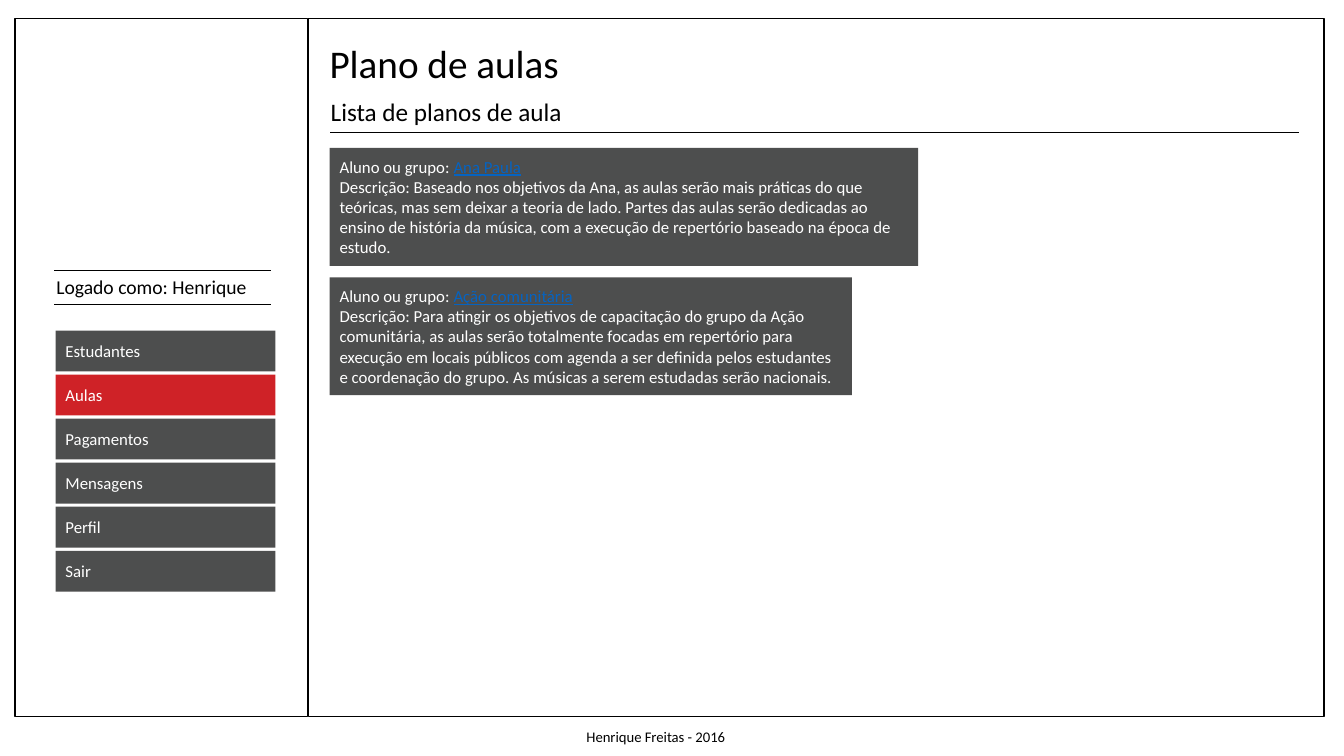
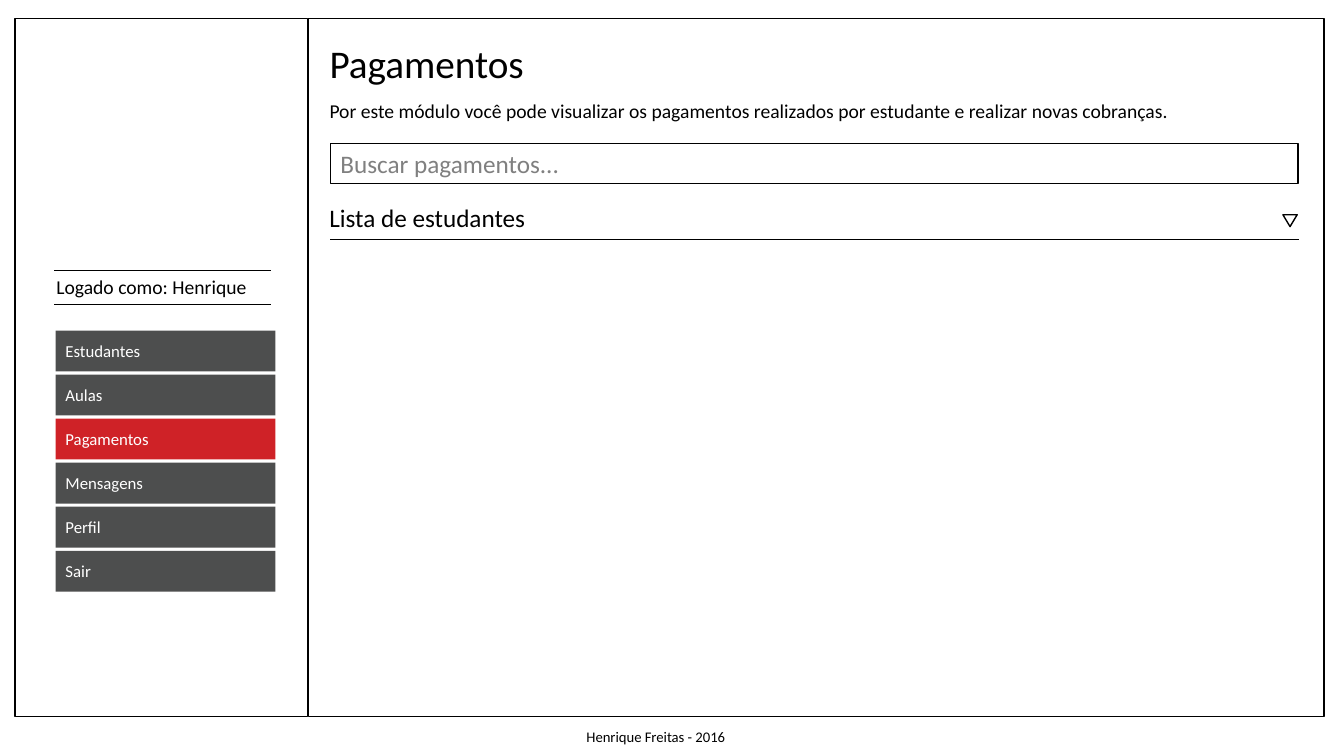
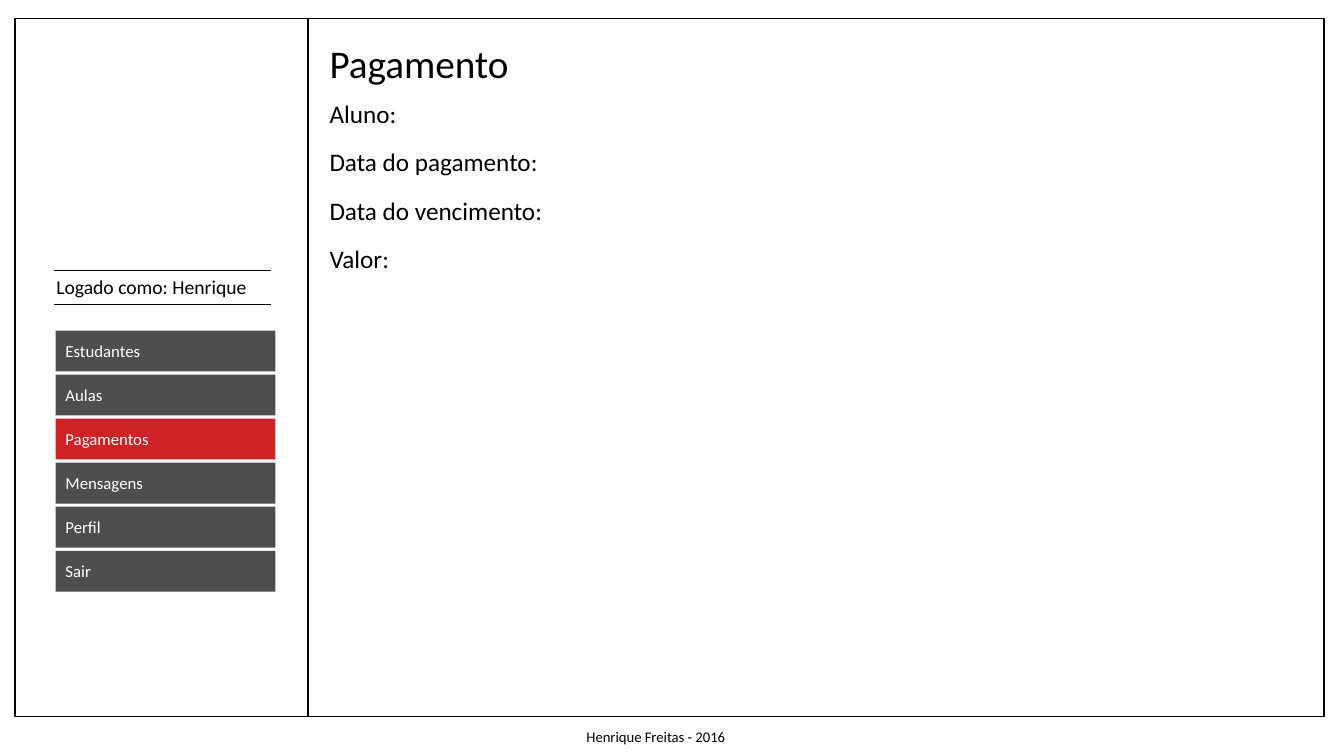
"""Builds three screens of a music lesson manager: lesson plans, payments and payment details."""

from dataclasses import dataclass

from lxml import etree
from pptx import Presentation
from pptx.dml.color import RGBColor
from pptx.enum.shapes import MSO_SHAPE
from pptx.enum.text import MSO_ANCHOR, MSO_AUTO_SIZE, PP_ALIGN
from pptx.oxml.ns import qn
from pptx.shapes.autoshape import Shape
from pptx.slide import Slide, SlideLayout
from pptx.util import Cm, Pt

RECTANGLE = MSO_SHAPE.RECTANGLE
TRIANGLE = MSO_SHAPE.ISOSCELES_TRIANGLE
TOP, MIDDLE = MSO_ANCHOR.TOP, MSO_ANCHOR.MIDDLE
GROW, FIXED = MSO_AUTO_SIZE.SHAPE_TO_FIT_TEXT, MSO_AUTO_SIZE.NONE
LEFT = PP_ALIGN.LEFT

FONT = "Calibri"
BLACK, WHITE, GREY = "000000", "FFFFFF", "808080"
DARK, RED, LINK_BLUE = "4D4E4E", "CF2227", "0563C1"

MENU = ("Estudantes", "Aulas", "Pagamentos", "Mensagens", "Perfil", "Sair")
MENU_LEFT, MENU_TOP, MENU_PITCH = 1.4, 8.33, 1.11
RULE_LEFT, RULE_RIGHT = 8.32, 32.73


@dataclass(frozen=True)
class Box:
    """A rectangle on the slide, in centimetres."""

    left: float
    top: float
    width: float
    height: float


@dataclass(frozen=True)
class Screen:
    """The title, body and active menu entry of a slide."""

    title: str
    title_width: float
    active: str
    body: str
    body_box: Box
    body_size: float


@dataclass(frozen=True)
class PlanCard:
    """A lesson plan of a student or group."""

    student: str
    description: str
    box: Box


SIDEBAR = Box(0.38, 0.46, 7.37, 17.6)
CONTENT = Box(7.77, 0.46, 25.6, 17.6)

PLANS = Screen("Plano de aulas", 6.35, "Aulas", "Lista de planos de aula",
               Box(8.08, 2.31, 6.4, 1.02), 18)
PAYMENTS = Screen(
    "Pagamentos", 5.46, "Pagamentos",
    "Por este módulo você pode visualizar os pagamentos realizados por estudante "
    "e realizar novas cobranças.",
    Box(8.05, 2.36, 21.84, 0.86), 14)
PAYMENT = Screen("Pagamento", 5.05, "Pagamentos",
                 "Aluno:\nData do pagamento:\nData do vencimento:\nValor:",
                 Box(8.05, 2.34, 5.94, 4.7), 18)

PLAN_CARDS = (
    PlanCard(
        "Ana Paula",
        "Baseado nos objetivos da Ana, as aulas serão mais práticas do que teóricas, "
        "mas sem deixar a teoria de lado. Partes das aulas serão dedicadas ao ensino "
        "de história da música, com a execução de repertório baseado na época de estudo.",
        Box(8.31, 3.73, 14.83, 2.97)),
    PlanCard(
        "Ação comunitária",
        "Para atingir os objetivos de capacitação do grupo da Ação comunitária, as aulas "
        "serão totalmente focadas em repertório para execução em locais públicos com "
        "agenda a ser definida pelos estudantes e coordenação do grupo. As músicas a "
        "serem estudadas serão nacionais.",
        Box(8.31, 6.99, 13.16, 2.97)),
)


def colour(value: str) -> RGBColor:
    """Turn a hex string into a colour."""
    return RGBColor.from_string(value)


def lengths(box: Box) -> tuple[Cm, Cm, Cm, Cm]:
    """Give the box as slide lengths."""
    return Cm(box.left), Cm(box.top), Cm(box.width), Cm(box.height)


def format_text(shape: Shape, size: float, text_colour: str) -> None:
    """Apply the common font and left alignment to all text of a shape."""
    for paragraph in shape.text_frame.paragraphs:
        paragraph.alignment = LEFT
        for run in paragraph.runs:
            run.font.name = FONT
            run.font.size = Pt(size)
            run.font.color.rgb = colour(text_colour)


def write_label(shape: Shape, text: str, size: float) -> None:
    """Write black, unwrapped text in a text box or placeholder."""
    frame = shape.text_frame
    frame.text = text
    frame.word_wrap = False
    frame.auto_size = GROW
    frame.vertical_anchor = TOP
    format_text(shape, size, BLACK)


def add_label(slide: Slide, box: Box, text: str, size: float) -> None:
    """Add a one-line text box."""
    write_label(slide.shapes.add_textbox(*lengths(box)), text, size)


def add_outline(slide: Slide, box: Box, preset: MSO_SHAPE = RECTANGLE) -> Shape:
    """Add an unfilled shape with a thin black border."""
    shape = slide.shapes.add_shape(preset, *lengths(box))
    shape.shadow.inherit = False
    shape.fill.background()
    shape.line.color.rgb = colour(BLACK)
    shape.line.width = Pt(1)
    return shape


def add_panel(slide: Slide, box: Box, fill: str, text: str) -> Shape:
    """Add a filled rectangle with white text."""
    shape = slide.shapes.add_shape(RECTANGLE, *lengths(box))
    shape.shadow.inherit = False
    shape.fill.solid()
    shape.fill.fore_color.rgb = colour(fill)
    shape.line.fill.background()
    shape.text_frame.text = text
    shape.text_frame.word_wrap = True
    shape.text_frame.vertical_anchor = MIDDLE
    format_text(shape, 12, WHITE)
    return shape


def add_rule(slide: Slide, left: float, right: float, top: float) -> None:
    """Add a thin horizontal line."""
    rule = slide.shapes.add_connector(1, Cm(left), Cm(top), Cm(right), Cm(top))
    rule.line.color.rgb = colour(BLACK)
    rule.line.width = Pt(0.5)
    etree.SubElement(rule.element.spPr, qn("a:effectLst"))


def build_layout(layout: SlideLayout, slide: Slide) -> None:
    """Draw the shared frame on a slide and move it into the layout."""
    for placeholder in list(layout.placeholders):
        if placeholder.placeholder_format.idx >= 10:
            layout.shapes.element.remove(placeholder.element)
    add_outline(slide, CONTENT)
    add_outline(slide, SIDEBAR)
    add_label(slide, Box(1.17, 6.81, 5.36, 0.86), "Logado como: Henrique", 14)
    for top in (6.81, 7.67):
        add_rule(slide, 1.37, 6.83, top)
    add_label(slide, Box(14.53, 18.21, 4.09, 0.71), "Henrique Freitas - 2016", 10.5)
    for shape in list(slide.shapes):
        if not shape.is_placeholder:
            layout.shapes.element.insert_element_before(shape.element, "p:extLst")


def place(shape: Shape, box: Box) -> None:
    """Move and size a placeholder."""
    shape.left, shape.top, shape.width, shape.height = lengths(box)


def fill_screen(slide: Slide, screen: Screen) -> None:
    """Fill the title, the body and the menu."""
    title, body = slide.shapes.title, slide.placeholders[1]
    place(title, Box(8.05, 0.86, screen.title_width, 1.45))
    write_label(title, screen.title, 28)
    place(body, screen.body_box)
    write_label(body, screen.body, screen.body_size)
    body.text_frame.auto_size = FIXED
    for position, paragraph in enumerate(body.text_frame.paragraphs):
        paragraph.space_before = Pt(13 if position else 0)
        properties = paragraph._p.get_or_add_pPr()
        properties.set("marL", "0")
        properties.set("indent", "0")
        etree.SubElement(properties, qn("a:buNone"))
    for position, entry in enumerate(MENU):
        box = Box(MENU_LEFT, MENU_TOP + position * MENU_PITCH, 5.54, 1.03)
        add_panel(slide, box, RED if entry == screen.active else DARK, entry)


def add_plan_card(slide: Slide, card: PlanCard) -> None:
    """Add a lesson plan with the student's name styled as a link."""
    text = f"Aluno ou grupo: \nDescrição: {card.description}"
    panel = add_panel(slide, card.box, DARK, text)
    run = panel.text_frame.paragraphs[0].add_run()
    run.text = card.student
    format_text(panel, 12, WHITE)
    run.font.color.rgb = colour(LINK_BLUE)
    run.font.underline = True


def build_plans(slide: Slide) -> None:
    """Build the list of lesson plans."""
    fill_screen(slide, PLANS)
    add_rule(slide, RULE_LEFT, RULE_RIGHT, 3.33)
    for card in PLAN_CARDS:
        add_plan_card(slide, card)


def build_payments(slide: Slide) -> None:
    """Build the payment search and the student list heading."""
    fill_screen(slide, PAYMENTS)
    search = add_outline(slide, Box(8.33, 3.61, 24.38, 1.02))
    search.text_frame.text = "Buscar pagamentos..."
    search.text_frame.vertical_anchor = MIDDLE
    format_text(search, 18, GREY)
    add_label(slide, Box(8.05, 4.98, 5.51, 1.02), "Lista de estudantes", 18)
    add_rule(slide, RULE_LEFT, RULE_RIGHT, 6.02)
    arrow = add_outline(slide, Box(32.33, 5.41, 0.36, 0.3), TRIANGLE)
    arrow.rotation = 180


def build_payment(slide: Slide) -> None:
    """Build the details of one payment."""
    fill_screen(slide, PAYMENT)


def main() -> None:
    """Build and save the presentation."""
    presentation = Presentation()
    presentation.slide_width, presentation.slide_height = Cm(33.87), Cm(19.05)
    layout = presentation.slide_layouts[1]
    builders = (build_plans, build_payments, build_payment)
    slides = [presentation.slides.add_slide(layout) for _ in builders]
    build_layout(layout, slides[0])
    for build, slide in zip(builders, slides):
        build(slide)
    presentation.save("out.pptx")


if __name__ == "__main__":
    main()
